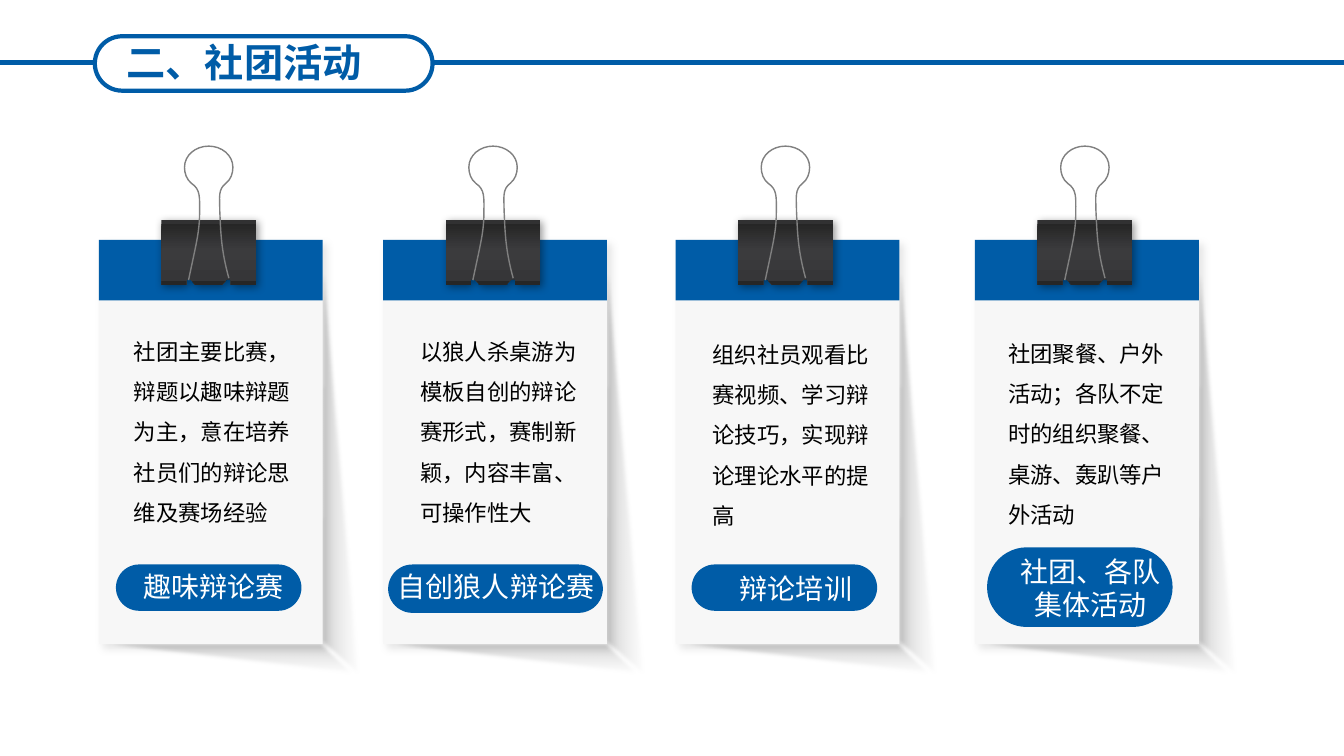
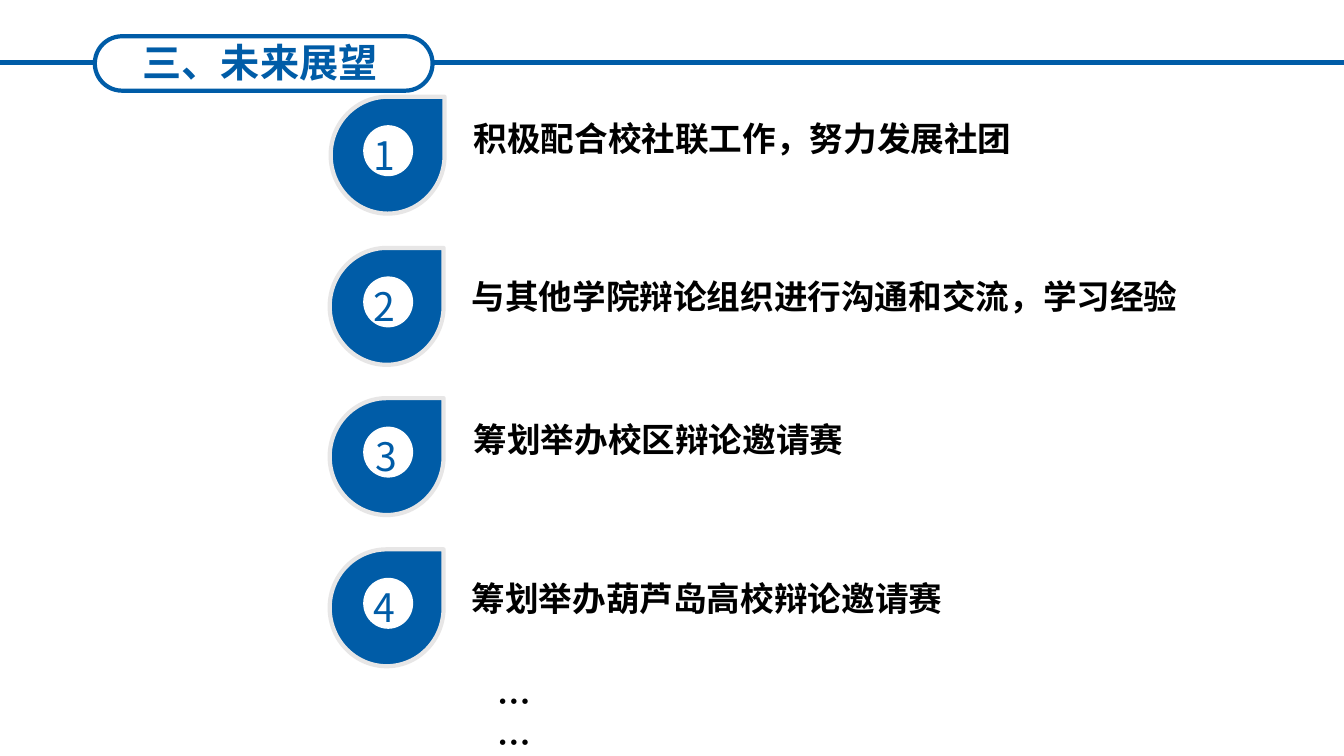
from lxml import etree
from pptx import Presentation
from pptx.dml.color import RGBColor
from pptx.enum.shapes import MSO_CONNECTOR as CONN, MSO_SHAPE as SHAPE
from pptx.enum.text import PP_ALIGN as ALIGN
from pptx.oxml import parse_xml
from pptx.oxml.ns import nsdecls, qn
from pptx.util import Inches, Pt

# Shared style
FONT = "Noto Sans CJK SC"
BLUE, WHITE, BLACK = "005CA7", "FFFFFF", "000000"
PAPER, WIRE, RIM, DOT_RIM = "F7F7F7", "808080", "E7E6E6", "FEFEFE"
TITLE = {"size": 28, "bold": True, "color": BLUE}
LABEL = {"size": 20, "color": WHITE}
BODY = {"size": 16, "color": BLACK}
NUMBER = {"size": 28, "color": BLUE}
GOAL = {"size": 24, "bold": True, "color": BLACK}

# Gradient stops: position, colour, opacity (percent)
FADE = [(0, "F3F3F3", 12), (100, "808080", 44)]
METAL = [(7, "313132", 100), (7, "262626", 100), (46, "3B3B3D", 100),
         (93, "363638", 100), (93, "262626", 100)]

# Activity cards; boxes are left, top, width, height
ACTIVITIES = [
    {"left": 0.98, "label": "趣味辩论赛",
     "text": "社团主要比赛，辩题以趣味辩题为主，意在培养社员们的辩论思维及赛场经验",
     "text_at": (1.23, 3.17), "pill": (1.15, 5.6, 1.84, 0.46),
     "label_box": (0.86, 5.6, 2.51, 0.44)},
    {"left": 3.8, "label": "自创狼人辩论赛",
     "text": "以狼人杀桌游为模板自创的辩论赛形式，赛制新颖，内容丰富、可操作性大",
     "text_at": (4.07, 3.17), "pill": (3.85, 5.6, 2.13, 0.48),
     "label_box": (3.69, 5.6, 2.46, 0.44)},
    {"left": 6.7, "label": "辩论培训",
     "text": "组织社员观看比赛视频、学习辩论技巧，实现辩论理论水平的提高",
     "text_at": (6.97, 3.2), "pill": (6.86, 5.6, 1.84, 0.46),
     "label_box": (7.22, 5.62, 1.35, 0.44)},
    {"left": 9.67, "label": "社团、各队集体活动",
     "text": "社团聚餐、户外活动；各队不定时的组织聚餐、桌游、轰趴等户外活动",
     "text_at": (9.9, 3.19), "pill": (9.79, 5.43, 1.84, 0.79),
     "label_box": (10.01, 5.45, 1.62, 0.77)},
]

# Goals: text, its left, top and width, then drop left and top, digit left
GOALS = [
    ("积极配合校社联工作，努力发展社团", (4.6, 1.12, 5.77), (3.28, 0.96), 3.61),
    ("与其他学院辩论组织进行沟通和交流，学习经验", (4.58, 2.69, 7.27),
     (3.27, 2.46), 3.61),
    ("筹划举办校区辩论邀请赛", (4.6, 4.11, 3.9), (3.27, 3.95), 3.63),
    ("筹划举办葫芦岛高校辩论邀请赛", (4.58, 5.68, 4.91), (3.27, 5.45), 3.61),
]

# Outlines, x measured from the left edge of a card
SIDE_SHADE = [(2.19, 6.39), (2.61, 6.76), (2.2, 1.91)]
FOOT_SHADE = [(2.24, 6.36), (2.61, 6.71), (-0.44, 6.36)]
CLIP = [(0.62, 2.18), (1.56, 2.18), (1.56, 2.83), (1.31, 2.83), (1.31, 2.77),
        (1.27, 2.77), (1.22, 2.83), (0.96, 2.83), (0.91, 2.77), (0.87, 2.77),
        (0.87, 2.83), (0.62, 2.83)]
HANDLE_START = (0.89, 2.78)
HANDLE_CURVES = [
    ((0.97, 2.4), (1, 2.3), (1, 2.1)),
    ((1, 1.96), (1.01, 1.88), (0.92, 1.82)),
    ((0.87, 1.78), (0.85, 1.72), (0.85, 1.66)),
    ((0.85, 1.54), (0.96, 1.45), (1.09, 1.45)),
    ((1.22, 1.45), (1.33, 1.54), (1.33, 1.66)),
    ((1.33, 1.72), (1.31, 1.78), (1.26, 1.82)),
    ((1.18, 1.88), (1.2, 1.96), (1.2, 2.09)),
    ((1.21, 2.3), (1.21, 2.47), (1.29, 2.76)),
]


def rgb(color):
    return RGBColor.from_string(color)


def paint(sp, fill=None, line=None, width=1):
    sp.shadow.inherit = False
    if fill:
        sp.fill.solid()
        sp.fill.fore_color.rgb = rgb(fill)
    else:
        sp.fill.background()
    if line:
        sp.line.color.rgb = rgb(line)
        sp.line.width = Pt(width)
    else:
        sp.line.fill.background()
    return sp


def add_shape(s, kind, box, **style):
    sp = s.shapes.add_shape(kind, *map(Inches, box))
    if kind == SHAPE.ROUNDED_RECTANGLE:
        sp.adjustments[0] = 0.5
    return paint(sp, **style)


def add_outline(s, points, left, close=True, **style):
    pts = [(Inches(left + x), Inches(y)) for x, y in points]
    builder = s.shapes.build_freeform(*pts[0])
    builder.add_line_segments(pts[1:], close=close)
    return paint(builder.convert_to_shape(), **style)


def add_curve(s, start, curves, left, **style):
    """Lay out the end points, then bend each segment into a Bezier curve."""
    ends = [start] + [curve[-1] for curve in curves]
    sp = add_outline(s, ends, left, close=False, **style)
    segments = list(sp._element.iter(qn("a:lnTo")))
    for segment, curve in zip(segments, curves):
        segment.tag = qn("a:cubicBezTo")
        segment.clear()
        for x, y in curve:
            pt = etree.SubElement(segment, qn("a:pt"))
            pt.set("x", str(Inches(left + x) - sp.left))
            pt.set("y", str(Inches(y) - sp.top))


def add_gradient(sp, stops, angle):
    gs = "".join(
        f'<a:gs pos="{pos * 1000}"><a:srgbClr val="{color}">'
        f'<a:alpha val="{alpha * 1000}"/></a:srgbClr></a:gs>'
        for pos, color, alpha in stops)
    grad = parse_xml(
        f'<a:gradFill {nsdecls("a")} rotWithShape="1"><a:gsLst>{gs}</a:gsLst>'
        f'<a:lin ang="{angle * 60000}" scaled="0"/></a:gradFill>')
    spPr = sp._element.spPr
    spPr.replace(spPr.find(qn("a:noFill")), grad)


def add_effect(sp, xml):
    sp._element.spPr.find(qn("a:effectLst")).append(parse_xml(xml))


def add_shadow(sp, alpha, dist):
    add_effect(sp, (
        f'<a:outerShdw {nsdecls("a")} blurRad="{Pt(6)}" dist="{Pt(dist)}" '
        f'dir="2700000" algn="tl" rotWithShape="0"><a:srgbClr val="000000">'
        f'<a:alpha val="{alpha * 1000}"/></a:srgbClr></a:outerShdw>'))


def add_text(s, text, box, style, align=ALIGN.LEFT, spacing=None):
    tf = s.shapes.add_textbox(*map(Inches, box)).text_frame
    tf.word_wrap = True
    p = tf.paragraphs[0]
    p.alignment = align
    if spacing:
        p.line_spacing = spacing
    r = p.add_run()
    r.text = text
    values = {"name": FONT, **style, "size": Pt(style["size"])}
    r.font.color.rgb = rgb(values.pop("color"))
    for key, value in values.items():
        setattr(r.font, key, value)
    etree.SubElement(r._r.get_or_add_rPr(), qn("a:ea")).set("typeface", FONT)


def add_slide(prs, title, title_left):
    """A slide with the title pill and the rule on either side of it."""
    s = prs.slides.add_slide(prs.slide_layouts[6])
    y = Inches(0.62)
    for x1, x2 in ((4.3, 13.33), (0, 0.94)):
        line = s.shapes.add_connector(CONN.STRAIGHT, Inches(x1), y, Inches(x2), y)
        line.line.color.rgb = rgb(BLUE)
        line.line.width = Pt(3)
        etree.SubElement(line._element.spPr, qn("a:effectLst"))
    add_shape(s, SHAPE.ROUNDED_RECTANGLE, (0.94, 0.36, 3.35, 0.54),
              line=BLUE, width=3)
    add_text(s, title, (title_left, 0.33, 3.38, 0.57), TITLE, ALIGN.CENTER)
    return s


def add_card(s, card):
    left = card["left"]
    # Cast shade and paper
    for points, angle in ((SIDE_SHADE, 180), (FOOT_SHADE, 270)):
        shade = add_outline(s, points, left)
        add_gradient(shade, FADE, angle)
        add_effect(shade, f'<a:softEdge {nsdecls("a")} rad="{Pt(2.5)}"/>')
    paper = add_shape(s, SHAPE.RECTANGLE, (left, 2.38, 2.22, 4.01), fill=PAPER)
    add_shadow(paper, 10, 4)
    add_shape(s, SHAPE.RECTANGLE, (left, 2.38, 2.22, 0.6), fill=BLUE)
    # Binder clip
    clip = add_outline(s, CLIP, left)
    add_gradient(clip, METAL, 90)
    add_shadow(clip, 40, 2)
    add_curve(s, HANDLE_START, HANDLE_CURVES, left, line=WIRE)
    # Wording
    add_shape(s, SHAPE.ROUNDED_RECTANGLE, card["pill"], fill=BLUE)
    add_text(s, card["label"], card["label_box"], LABEL, ALIGN.CENTER)
    add_text(s, card["text"], (*card["text_at"], 1.77, 2.12), BODY, spacing=1.5)


def add_goal(s, number, text, text_box, drop_at, digit_left):
    dot_top = drop_at[1] + 0.29
    add_shape(s, SHAPE.TEAR, (*drop_at, 1.13, 1.16),
              fill=BLUE, line=RIM, width=3)
    add_shape(s, SHAPE.OVAL, (3.61, dot_top, 0.48, 0.49),
              fill=WHITE, line=DOT_RIM, width=1.13)
    add_text(s, str(number), (digit_left, dot_top, 0.43, 0.57), NUMBER)
    add_text(s, text, (*text_box, 0.5), GOAL)


def main():
    prs = Presentation()
    prs.slide_width, prs.slide_height = Inches(13.33), Inches(7.5)

    s = add_slide(prs, "二、社团活动", 0.73)
    for card in ACTIVITIES:
        add_card(s, card)

    s = add_slide(prs, "三、未来展望", 0.89)
    for number, goal in enumerate(GOALS, 1):
        add_goal(s, number, *goal)
    add_text(s, "……", (4.84, 6.71, 0.85, 0.5), GOAL)

    prs.save("out.pptx")


if __name__ == "__main__":
    main()
